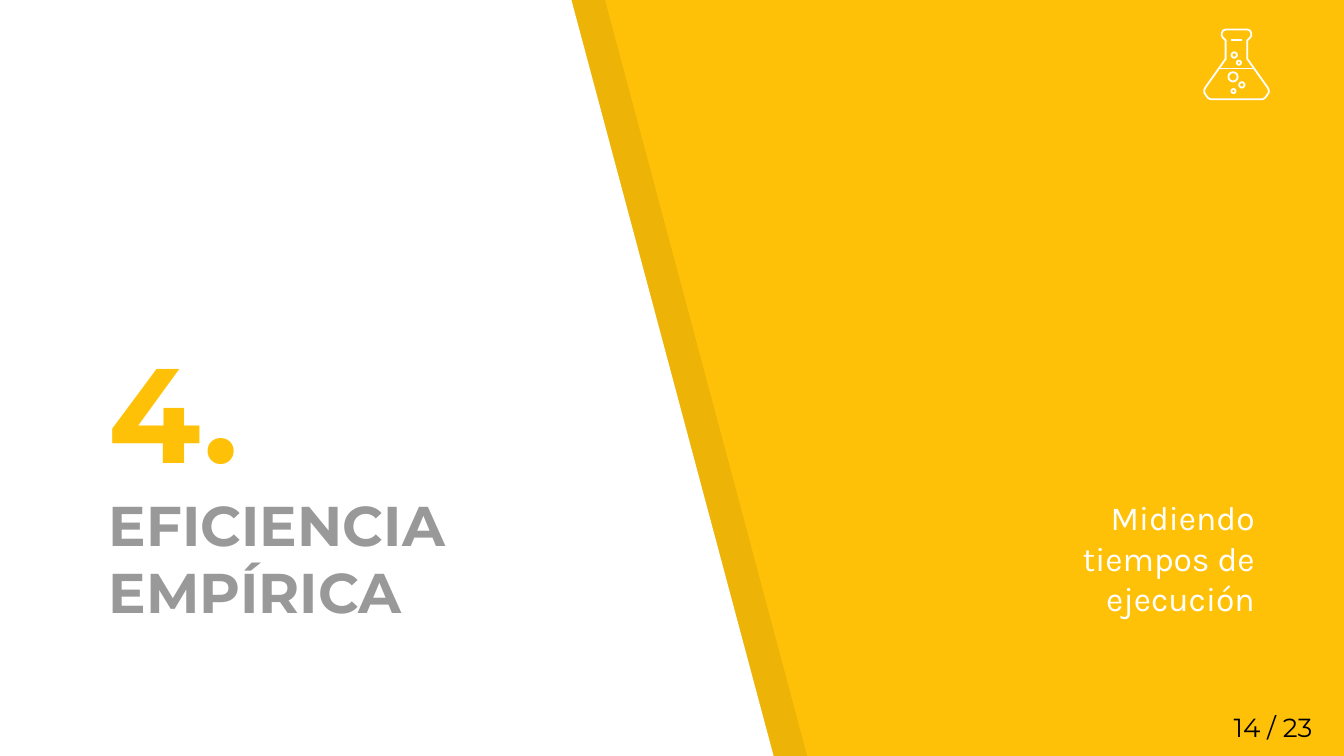
from lxml.etree import SubElement
from pptx import Presentation
from pptx.dml.color import RGBColor
from pptx.enum.shapes import MSO_CONNECTOR, MSO_SHAPE
from pptx.enum.text import MSO_ANCHOR, MSO_AUTO_SIZE, PP_ALIGN
from pptx.oxml.ns import qn
from pptx.util import Pt

COLORS = {
    "amber": "FFC107",
    "white": "FFFFFF",
    "black": "000000",
    "gray": "999999",
}
PAGE_WIDTH, PAGE_HEIGHT = 720, 405
LINE_WIDTH = 0.96

# Right half of the flask outline: distance from its axis, distance from its top
FLASK_HALF = [
    (5.8, 0), (7.2, 0.6), (7.9, 2), (7.9, 3.4), (7.2, 4.5), (5.8, 5.8),
    (5.8, 15.8), (16.6, 31), (17.3, 32.4), (17.3, 33.8), (15.8, 36),
    (15, 36.9), (13.7, 37.4),
]
# Bubbles: centre from the axis, centre from the top, diameter
BUBBLES = [(2.9, 29.7, 2.9), (-1.8, 25.4, 5), (-1.6, 33, 2.2),
           (1.3, 17.8, 2.2), (-1.2, 13.7, 2.9)]
# Flask lines: distance from the top, half length
FLASK_LINES = [(20.9, 8.8), (5.8, 2.9)]


def color(name):
    return RGBColor.from_string(COLORS[name])


def draw_polygon(shapes, points):
    corners = [(Pt(x), Pt(y)) for x, y in points]
    builder = shapes.build_freeform(*corners[0])
    builder.add_line_segments(corners[1:], close=True)
    polygon = builder.convert_to_shape()
    polygon.shadow.inherit = False
    return polygon


def outline(shape):
    shape.fill.background()
    shape.line.color.rgb = color("white")
    shape.line.width = Pt(LINE_WIDTH)


def place(shape, box):
    shape.left, shape.top, shape.width, shape.height = (Pt(n) for n in box)


def prepare_frame(shape, anchor):
    frame = shape.text_frame
    frame.word_wrap = True
    frame.auto_size = MSO_AUTO_SIZE.NONE
    frame.vertical_anchor = anchor
    frame.margin_left = frame.margin_right = Pt(7.2)
    frame.margin_top = frame.margin_bottom = Pt(7.2)
    return frame


def add_span(para, text, font, size, color_name, bold=False):
    span = para.add_run()
    span.text = text
    span.font.name = font
    span.font.size = Pt(size)
    span.font.bold = bold
    span.font.color.rgb = color(color_name)


def add_panel(page, box, color_name, opacity=None):
    """Slanted panel whose bottom edge is the wider one."""
    left, top, width, height = box
    slant = 108.7
    panel = draw_polygon(page.shapes, [
        (left, top), (left, top + height),
        (left + width, top + height), (left + width - slant, top)])
    panel.fill.solid()
    panel.fill.fore_color.rgb = color(color_name)
    panel.line.fill.background()
    if opacity is not None:
        fill_color = panel.fill._xPr.find(qn("a:solidFill"))[0]
        SubElement(fill_color, qn("a:alpha")).set("val", str(opacity * 1000))


def add_title(page, box, number, heading):
    title = page.shapes.title
    # Bring the placeholder in front of the panels
    page.shapes._spTree.append(title._element)
    place(title, box)
    frame = prepare_frame(title, MSO_ANCHOR.BOTTOM)
    lines = [(number, 72, "amber"), (heading, 30, "gray")]
    for index, (text, size, color_name) in enumerate(lines):
        para = frame.add_paragraph() if index else frame.paragraphs[0]
        para.alignment = PP_ALIGN.LEFT
        add_span(para, text, "Montserrat", size, color_name, bold=True)


def add_text(page, box, text, font, size, color_name, align, anchor):
    text_box = page.shapes.add_textbox(*(Pt(n) for n in box))
    para = prepare_frame(text_box, anchor).paragraphs[0]
    para.alignment = align
    add_span(para, text, font, size, color_name)


def add_flask(page, box):
    left, top, width, _ = box
    axis = left + width / 2
    shapes = page.shapes.add_group_shape().shapes

    # Glass: the half outline and its mirror image
    right = [(axis + x, top + y) for x, y in FLASK_HALF]
    mirrored = [(axis - x, top + y) for x, y in reversed(FLASK_HALF)]
    outline(draw_polygon(shapes, right + mirrored))

    # Liquid level and neck mark
    for y, half in FLASK_LINES:
        line = shapes.add_connector(
            MSO_CONNECTOR.STRAIGHT, Pt(axis - half), Pt(top + y),
            Pt(axis + half), Pt(top + y))
        line.line.color.rgb = color("white")
        line.line.width = Pt(LINE_WIDTH)
        SubElement(line._element.spPr, qn("a:effectLst"))

    # Bubbles
    for x, y, size in BUBBLES:
        bubble = shapes.add_shape(
            MSO_SHAPE.OVAL, Pt(axis + x - size / 2), Pt(top + y - size / 2),
            Pt(size), Pt(size))
        bubble.shadow.inherit = False
        outline(bubble)


def build_section_page(deck):
    page = deck.slides.add_slide(deck.slide_layouts[5])
    page.background.fill.solid()
    page.background.fill.fore_color.rgb = color("amber")

    # Slanted panel and its shade
    add_panel(page, (18, -0.5, 414.7, 406.5), "black", opacity=7)
    add_panel(page, (0, -0.5, 414.7, 406.5), "white")

    # Texts
    add_title(page, (51.1, 106.6, 277.2, 235.4), "4.", "EFICIENCIA EMPÍRICA")
    add_text(page, (529.5, 257, 149.8, 81.4), "Midiendo tiempos de ejecución",
             "Karla", 18, "white", PP_ALIGN.RIGHT, MSO_ANCHOR.BOTTOM)
    add_text(page, (653.8, 373.9, 63.4, 31), "14 / 23",
             "Montserrat", 14, "black", PP_ALIGN.LEFT, MSO_ANCHOR.MIDDLE)

    # Icon
    add_flask(page, (645.1, 15.8, 34.6, 37.4))


def main():
    deck = Presentation()
    deck.slide_width, deck.slide_height = Pt(PAGE_WIDTH), Pt(PAGE_HEIGHT)
    build_section_page(deck)
    deck.save("out.pptx")


if __name__ == "__main__":
    main()
